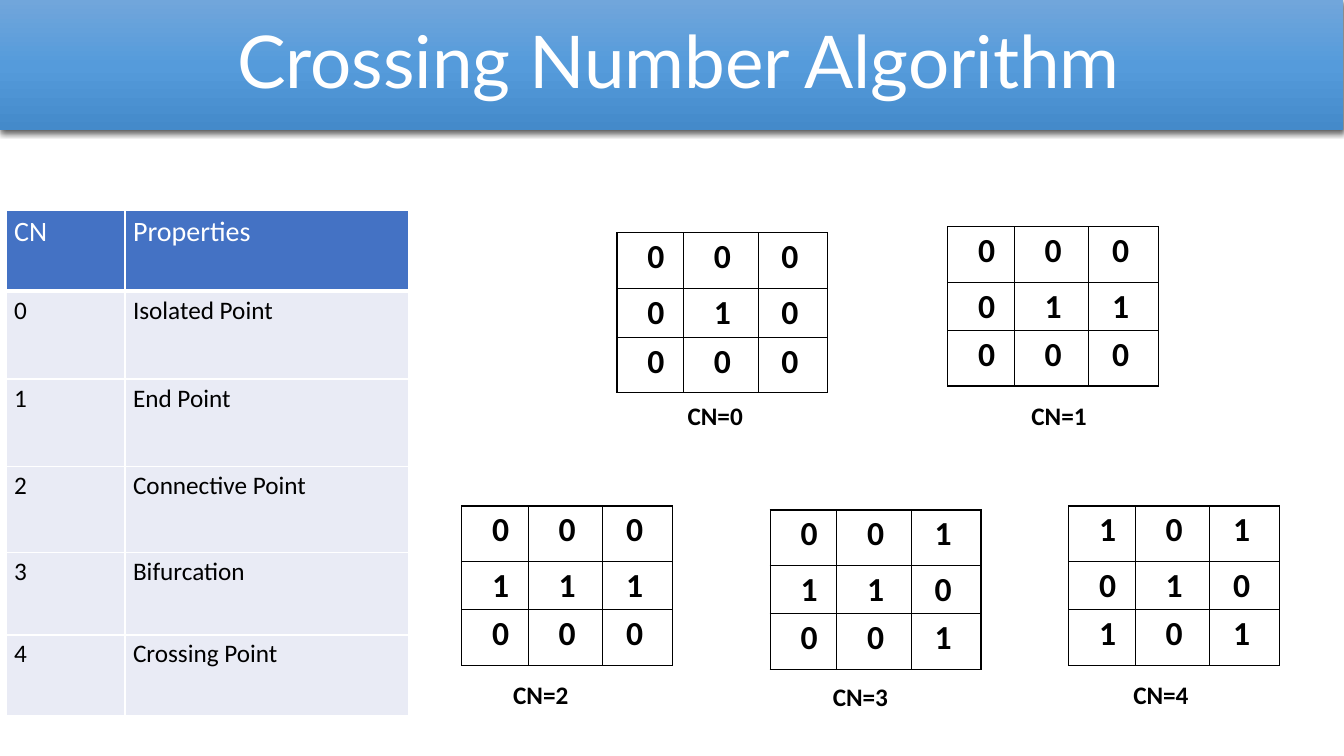
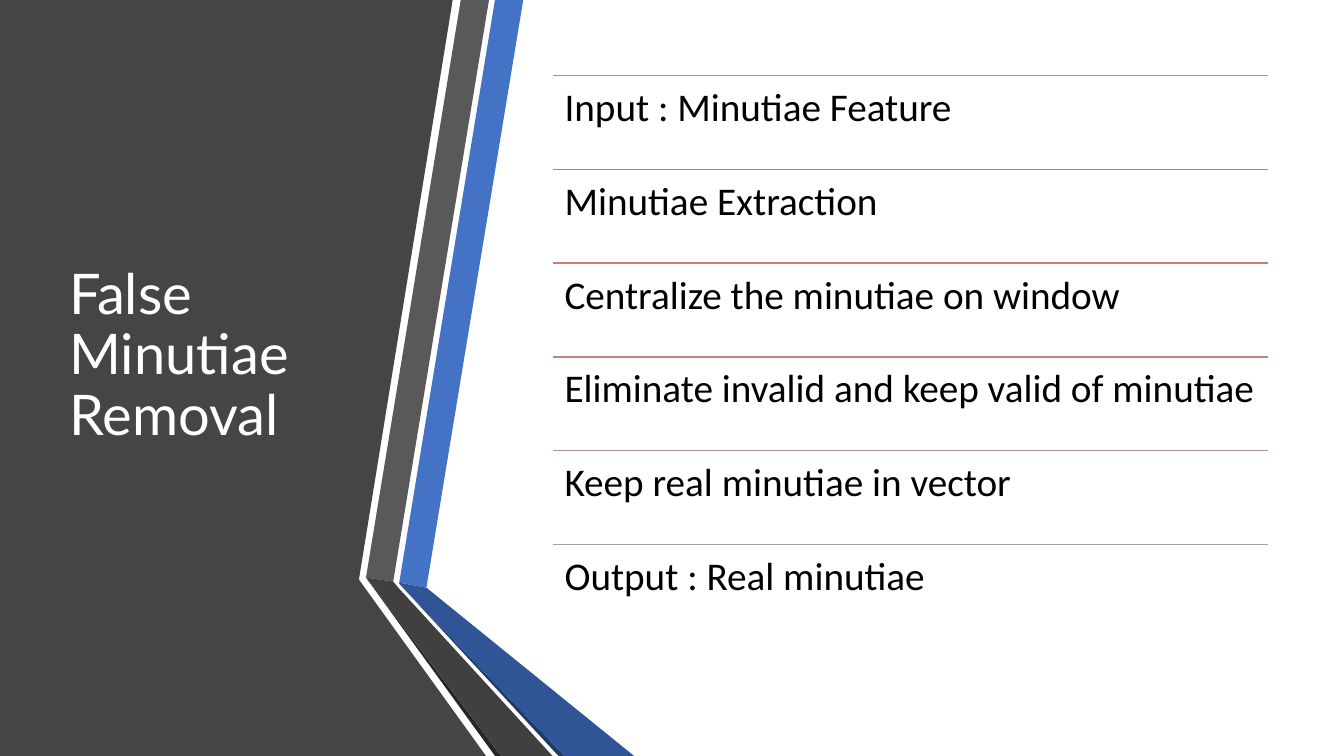
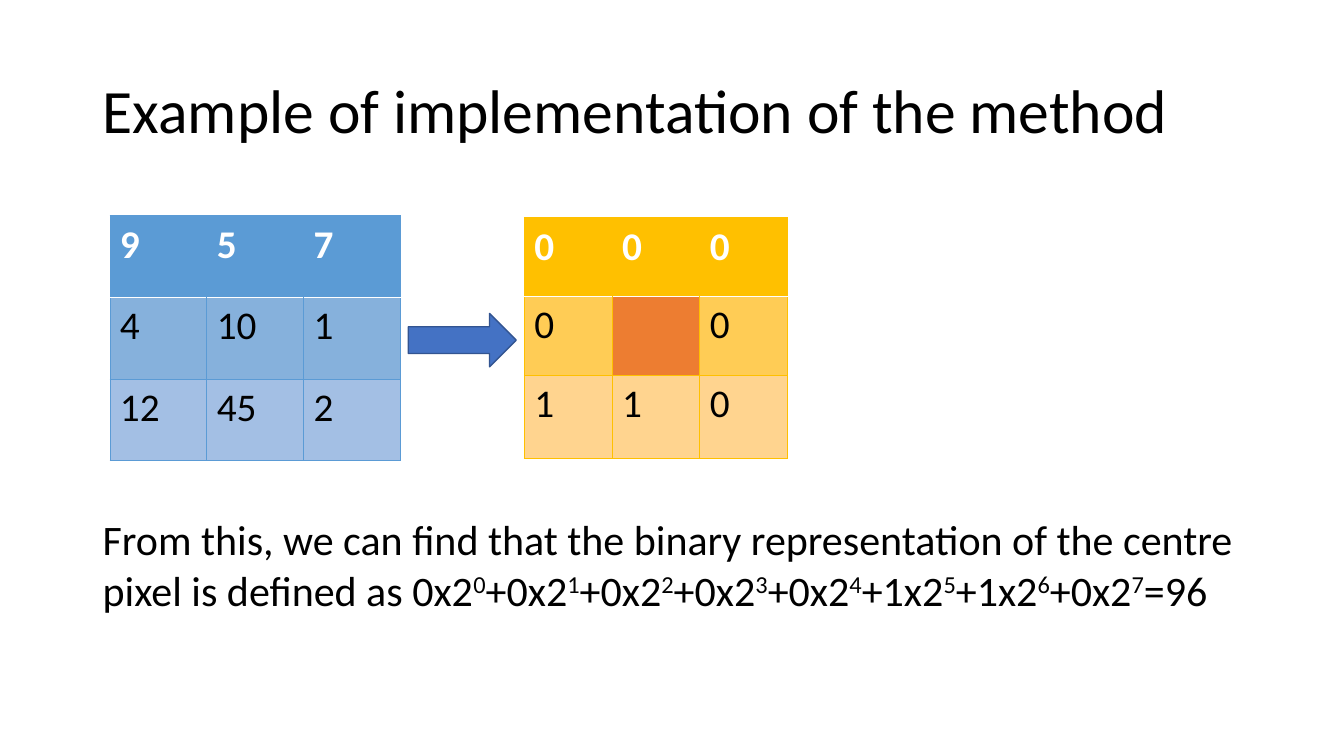
from copy import deepcopy
from itertools import accumulate

from lxml import etree
from pptx import Presentation
from pptx.dml.color import RGBColor
from pptx.enum.shapes import MSO_CONNECTOR, MSO_SHAPE
from pptx.enum.text import MSO_ANCHOR, PP_ALIGN
from pptx.oxml.ns import qn
from pptx.util import Inches, Pt

BODY_FONT = "Calibri"
TITLE_FONT = "Lato"
COLORS = {
    "white": "FFFFFF", "black": "000000",
    "blue": "4472C4", "blue_line": "325491", "blue_dark": "2F5597", "navy": "203864",
    "band_top": "71A6DB", "band_mid": "559BDB", "band_low": "448ACA",
    "row_tint": "E9EBF5", "orange": "ED7D31",
    "panel": "454545", "gray": "595959", "gray_dark": "404040", "gray_deep": "262626",
    "sky": "5B9BD5", "sky_mid": "86B1DC", "sky_light": "A3BFE4",
    "gold": "FFC000", "gold_mid": "FFCC55", "gold_light": "FFD48F",
    "rule_1": "ED7D31", "rule_2": "DC7A4B", "rule_3": "CC7D64",
    "rule_4": "BD867B", "rule_5": "B09391", "rule_6": "A5A5A5",
}


def rgb(name):
    return RGBColor.from_string(COLORS[name])


def box(*lengths):
    return [Inches(v) for v in lengths]


def add_run(p, text, size, color="black", bold=False, font=BODY_FONT, raised=False):
    r = p.add_run()
    r.text = text
    r.font.size = Pt(size)
    r.font.name = font
    r.font.bold = bold
    r.font.color.rgb = rgb(color)
    if raised:
        r.font._element.set("baseline", "30000")


def add_text(s, x, y, w, h, runs, size, color="black", bold=False, font=BODY_FONT,
             inset=(0.1, 0.05), spacing=None, anchor=MSO_ANCHOR.TOP):
    """Place one paragraph; runs is a list of (text, raised) pairs."""
    tf = s.shapes.add_textbox(*box(x, y, w, h)).text_frame
    tf.word_wrap = True
    tf.vertical_anchor = anchor
    tf.margin_left, tf.margin_top = box(*inset)
    p = tf.paragraphs[0]
    p.line_spacing = spacing
    for text, raised in runs:
        add_run(p, text, size, color, bold, font, raised)


def add_title(s, x, y, w, h, text, size, color="black", font=BODY_FONT):
    add_text(s, x, y, w, h, [(text, False)], size, color, font=font,
             spacing=0.9, anchor=MSO_ANCHOR.MIDDLE)


def add_title_band(s, text):
    band = s.shapes.add_shape(MSO_SHAPE.RECTANGLE, *box(0, 0, 13.32, 1.29))
    band.line.fill.background()
    band.fill.gradient()
    band.fill.gradient_angle = 270
    first = next(band.element.iter(qn("a:gs")))
    first.addnext(deepcopy(first))
    stops = zip(band.fill.gradient_stops, ("band_top", "band_mid", "band_low"), (0, 0.5, 1))
    for stop, color, position in stops:
        stop.color.rgb = rgb(color)
        stop.position = position

    band.shadow.inherit = False
    effects = band.element.spPr.find(qn("a:effectLst"))
    shadow = etree.SubElement(effects, qn("a:outerShdw"), blurRad=str(Pt(4.5)),
                              dist=str(Pt(1.5)), dir="5400000", rotWithShape="0")
    tone = etree.SubElement(shadow, qn("a:srgbClr"), val=COLORS["black"])
    etree.SubElement(tone, qn("a:alpha"), val="63000")

    tf = band.text_frame
    tf.vertical_anchor = MSO_ANCHOR.MIDDLE
    tf.margin_left = Inches(0.24)
    p = tf.paragraphs[0]
    p.alignment = PP_ALIGN.CENTER
    p.line_spacing = 0.9
    add_run(p, text, 52, "white", font=TITLE_FONT)


def set_borders(cell, **sides):
    """Set L, R, T and B to (colour, points); a side left out has no line."""
    tcPr = cell._tc.get_or_add_tcPr()
    for side in "LRTB":
        color, width = sides.get(side, (None, 0))
        ln = etree.SubElement(tcPr, qn(f"a:ln{side}"), w=str(Pt(width)))
        if color:
            fill = etree.SubElement(ln, qn("a:solidFill"))
            etree.SubElement(fill, qn("a:srgbClr"), val=COLORS[color])
        else:
            etree.SubElement(ln, qn("a:noFill"))


def set_cell(cell, text, size, color="black", bold=False, fill=None, inset=(0.1, 0.05)):
    if fill:
        cell.fill.solid()
        cell.fill.fore_color.rgb = rgb(fill)
    else:
        cell.fill.background()
    cell.margin_left, cell.margin_top = box(*inset)
    cell.margin_right = Inches(0.08)
    cell.margin_bottom = cell.margin_top
    if text:
        add_run(cell.text_frame.paragraphs[0], text, size, color, bold)


def add_grid(s, x, y, cols, rows, texts, style_cell):
    """Build a table and let style_cell(cell, row, col, text) dress each cell."""
    table = s.shapes.add_table(len(rows), len(cols),
                               *box(x, y, sum(cols), sum(rows))).table
    for col, width in zip(table.columns, cols):
        col.width = Inches(width)
    for row, height in zip(table.rows, rows):
        row.height = Inches(height)
    for i, line in enumerate(texts):
        for j, text in enumerate(line):
            style_cell(table.cell(i, j), i, j, text)


def style_property(cell, i, j, text):
    thin, thick = ("white", 1), ("white", 3)
    set_borders(cell, L=thin, R=thin, T=thick if i == 1 else thin, B=thick if i == 0 else thin)
    if i == 0:
        set_cell(cell, text, 20, "white", fill="blue", inset=(0.08, 0.04))
    else:
        set_cell(cell, text, 18, fill="row_tint", inset=(0.08, 0.04))


def style_bit(cell, i, j, text):
    edge = ("black", 1)
    set_borders(cell, L=edge, R=edge, T=edge, B=edge)
    set_cell(cell, text, 24, bold=True, inset=((0.3, 0.3, 0.23)[j], 0.04))


def pixel_style(hue):
    """Return a cell style for a 3 x 3 pixel table in one hue."""
    def style(cell, i, j, text):
        edge, divider = (hue, 0.5), ("white", 1)
        sides = {"T": divider if i == 1 else edge, "B": divider if i == 0 else edge}
        if i > 0 or j == 0:
            sides["L"] = edge
        if i > 0 or j == 2:
            sides["R"] = edge
        set_borders(cell, **sides)
        fill = (hue, f"{hue}_mid", f"{hue}_light")[i] if text else "orange"
        set_cell(cell, text, 28, "black" if i else "white", i == 0, fill)
    return style


def add_polygon(s, color, points):
    builder = s.shapes.build_freeform(*box(*points[0]), scale=1.0)
    builder.add_line_segments([box(*point) for point in points[1:]], close=True)
    shape = builder.convert_to_shape()
    shape.shadow.inherit = False
    shape.fill.solid()
    shape.fill.fore_color.rgb = rgb(color)
    shape.line.fill.background()


def add_rule(s, x, y, w, color):
    line = s.shapes.add_connector(MSO_CONNECTOR.STRAIGHT, *box(x, y, x + w, y))
    line.line.color.rgb = rgb(color)
    line.line.width = Pt(1)
    etree.SubElement(line.element.spPr, qn("a:effectLst"))


def add_arrow(s, x, y, w, h):
    arrow = s.shapes.add_shape(MSO_SHAPE.RIGHT_ARROW, *box(x, y, w, h))
    arrow.shadow.inherit = False
    arrow.fill.solid()
    arrow.fill.fore_color.rgb = rgb("blue")
    arrow.line.color.rgb = rgb("blue_line")
    arrow.line.width = Pt(1)


def build_crossing_number(s):
    add_title_band(s, "Crossing Number Algorithm")
    properties = ["Isolated Point", "End Point", "Connective Point", "Bifurcation",
                  "Crossing Point"]
    texts = [("CN", "Properties")] + [(str(n), name) for n, name in enumerate(properties)]
    add_grid(s, 0.06, 2.09, [1.18, 2.81], [0.8, 0.87, 0.87, 0.85, 0.82, 0.8],
             texts, style_property)

    # grid left and top, bit rows, caption left, top and indent
    windows = [
        (6.12, 2.31, ("000", "010", "000"), 5.76, 3.92, 1.06),
        (9.4, 2.25, ("000", "011", "000"), 9.57, 3.92, 0.66),
        (4.58, 5.02, ("000", "111", "000"), 4.43, 6.69, 0.66),
        (7.64, 5.06, ("001", "110", "001"), 7.43, 6.71, 0.83),
        (10.6, 5.02, ("101", "010", "101"), 10.42, 6.69, 0.82),
    ]
    for n, (x, y, bits, caption_x, caption_y, indent) in enumerate(windows):
        add_grid(s, x, y, [0.66, 0.74, 0.69], [0.55, 0.48, 0.55], bits, style_bit)
        add_text(s, caption_x, caption_y, 2.9, 0.4, [(f"CN={n}", False)], 18,
                 bold=True, inset=(indent, 0.05))


def build_minutiae_removal(s):
    ribbons = [
        ("panel", [(0, 0), (4.49, 0), (3.56, 5.75), (4.82, 7.5), (0, 7.5)]),
        ("blue", [(3.96, 5.78), (4.23, 5.83), (5.19, 0), (4.91, 0)]),
        ("gray", [(4.85, 0), (4.57, 0), (3.63, 5.73), (3.9, 5.77)]),
        ("gray_deep", [(3.63, 5.73), (4.91, 7.5), (4.97, 7.5)]),
        ("navy", [(3.96, 5.79), (5.54, 7.5), (5.6, 7.5)]),
        ("blue_dark", [(3.96, 5.79), (5.6, 7.5), (6.29, 7.5), (4.23, 5.83), (3.96, 5.78)]),
        ("gray_dark", [(5.48, 7.5), (3.95, 5.83), (3.9, 5.77), (3.63, 5.73), (4.97, 7.5)]),
    ]
    for color, points in ribbons:
        add_polygon(s, color, points)
    add_title(s, 0.59, 0.75, 3.04, 5.58, "False Minutiae Removal", 40, "white", TITLE_FONT)

    steps = ["Input : Minutiae Feature", "Minutiae Extraction",
             "Centralize the minutiae on window",
             "Eliminate invalid and keep valid of minutiae",
             "Keep real minutiae in vector", "Output : Real minutiae"]
    left, top, width, pitch = 5.48, 0.75, 7.1, 0.93
    for i, step in enumerate(steps):
        y = top + i * pitch
        add_rule(s, left, y, width, f"rule_{i + 1}")
        add_text(s, left, y, width, pitch, [(step, False)], 28,
                 inset=(0.12, 0.12), spacing=0.9)


def build_example(s):
    add_title(s, 0.92, 0.4, 11.5, 1.45, "Example of implementation of the method", 44)
    add_grid(s, 1.09, 2.14, [0.96] * 3, [0.81] * 3,
             [("9", "5", "7"), ("4", "10", "1"), ("12", "45", "2")], pixel_style("sky"))
    add_arrow(s, 4.05, 3.11, 1.07, 0.53)
    add_grid(s, 5.2, 2.16, [0.87] * 3, [0.78, 0.78, 0.83],
             [("0", "0", "0"), ("0", "", "0"), ("1", "1", "0")], pixel_style("gold"))

    runs = [("From this, we can find that the binary representation of the centre "
             "pixel is defined as ", False)]
    for power, bit in enumerate("00000110"):
        plus = "+" if power else ""
        runs += [(f"{plus}{bit}x2", False), (str(power), True)]
    runs.append(("=96", False))
    add_text(s, 0.92, 5.05, 11.95, 1.11, runs, 30)


def main():
    prs = Presentation()
    prs.slide_width, prs.slide_height = box(13.33, 7.5)
    for build in (build_crossing_number, build_minutiae_removal, build_example):
        build(prs.slides.add_slide(prs.slide_layouts[6]))
    prs.save("out.pptx")


if __name__ == "__main__":
    main()
